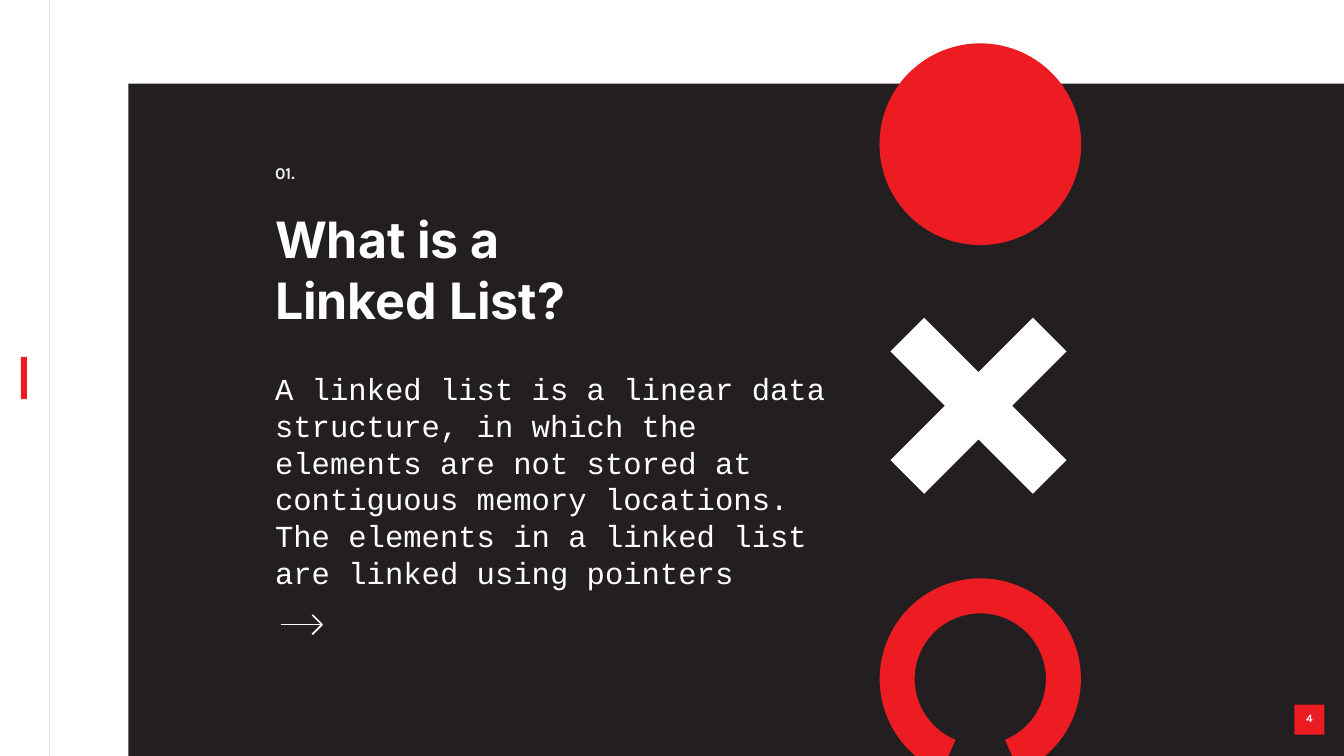
from math import cos, radians, sin

from lxml import etree
from pptx import Presentation
from pptx.dml.color import RGBColor
from pptx.enum.shapes import MSO_CONNECTOR, MSO_SHAPE
from pptx.enum.text import MSO_ANCHOR, PP_ALIGN
from pptx.oxml.ns import qn
from pptx.util import Inches, Pt

OVAL, RECT = MSO_SHAPE.OVAL, MSO_SHAPE.RECTANGLE
STRAIGHT = MSO_CONNECTOR.STRAIGHT
LEFT, TOP = PP_ALIGN.LEFT, MSO_ANCHOR.TOP

# Content
WIDE, HIGH = 21.99, 12.37
NUMBER = "01."
TITLE = "What is a Linked List?"
BODY = ("A linked list is a linear data structure, in which the elements "
        "are not stored at contiguous memory locations. The elements in a "
        "linked list are linked using pointers")
PAGE = "4"


class Theme:
    red, mark = "ED1C23", "EC1C23"
    dark, white = "231F20", "FFFFFF"
    pale, rule = "ECF1F4", "E0E6E9"
    head, body, small = "Inter", "Courier New", "Karla"
    title_size, body_size, label_size, page_size = 59, 36, 19.5, 13


deck = Presentation()
deck.slide_width, deck.slide_height = Inches(WIDE), Inches(HIGH)
slide = deck.slides.add_slide(deck.slide_layouts[6])
shapes = slide.shapes


def paint(shape, fill=None, line=None, width=1):
    shape.shadow.inherit = False
    if fill:
        shape.fill.solid()
        shape.fill.fore_color.rgb = RGBColor.from_string(fill)
    else:
        shape.fill.background()
    if line:
        shape.line.color.rgb = RGBColor.from_string(line)
        shape.line.width = Pt(width)
    else:
        shape.line.fill.background()


def block(kind, box, fill):
    paint(shapes.add_shape(kind, *map(Inches, box)), fill)


def outline(points, close=True, **style):
    first, *rest = [(Inches(x), Inches(y)) for x, y in points]
    pen = shapes.build_freeform(*first, scale=1.0)
    pen.add_line_segments(rest, close=close)
    paint(pen.convert_to_shape(), **style)


def stroke(x1, y1, x2, y2, color, width):
    link = shapes.add_connector(STRAIGHT, *map(Inches, (x1, y1, x2, y2)))
    link.line.color.rgb = RGBColor.from_string(color)
    link.line.width = Pt(width)
    etree.SubElement(link._element.spPr, qn("a:effectLst"))


def write(text, box, font, size, color=Theme.white, bold=False,
          inset=0.01, space=None):
    frame = shapes.add_textbox(*map(Inches, box)).text_frame
    frame.word_wrap = True
    frame.vertical_anchor = TOP
    frame.margin_left = frame.margin_right = frame.margin_bottom = 0
    frame.margin_top = Inches(inset)
    para = frame.paragraphs[0]
    para.alignment = LEFT
    if space:
        para.line_spacing = space
    run = para.add_run()
    run.text = text
    run.font.name, run.font.size, run.font.bold = font, Pt(size), bold
    run.font.color.rgb = RGBColor.from_string(color)


# Side rule, marker and dark panel
stroke(0.8, 0, 0.8, HIGH, Theme.rule, 0.82)
block(RECT, (0.34, 5.84, 0.1, 0.69), Theme.mark)
block(RECT, (2.1, 1.37, WIDE - 2.1, HIGH - 1.37), Theme.dark)

# Text column
EDGE = 4.5
write(TITLE, (EDGE, 3.39, 5.26, 2.01), Theme.head, Theme.title_size,
      bold=True, space=1.01)
write(BODY, (EDGE, 6.05, 9.58, 3.68), Theme.body, Theme.body_size)
write(NUMBER, (EDGE, 2.64, 0.5, 0.36), Theme.small, Theme.label_size,
      color=Theme.pale, bold=True, inset=0.02)

# Red disc
MID, DISC = 16.04, 1.65
block(OVAL, (MID - DISC, 0.71, 2 * DISC, 2 * DISC), Theme.red)

# Open ring, drawn clockwise from lower left to lower right
RING, RING_Y, GAP = 1.36, 11.11, 22.5
SWEEP, STEPS = 360 - 2 * GAP, 120
turns = [radians(90 + GAP + SWEEP * i / STEPS) for i in range(STEPS + 1)]
outline([(MID + RING * cos(t), RING_Y + RING * sin(t)) for t in turns],
        close=False, line=Theme.red, width=41.22)

# White cross: one arm turned four times
CROSS_X, CROSS_Y = 16.01, 6.64
cross = []
arm = [(-0.89, -1.44), (0, -0.55), (0.89, -1.44)]
for _ in range(4):
    cross += [(CROSS_X + x, CROSS_Y + y) for x, y in arm]
    arm = [(-y, x) for x, y in arm]
outline(cross, fill=Theme.white)

# Thin arrow
TIP, ARROW_Y, BARB = 5.27, 10.22, 0.16
stroke(4.6, ARROW_Y, TIP, ARROW_Y, Theme.white, 2)
outline([(TIP - BARB, ARROW_Y - BARB), (TIP, ARROW_Y),
         (TIP - BARB, ARROW_Y + BARB)],
        close=False, line=Theme.white, width=2)

# Page number
block(RECT, (21.18, 11.53, 0.49, 0.49), Theme.mark)
write(PAGE, (21.37, 11.63, 0.25, 0.27), Theme.small, Theme.page_size,
      bold=True)

deck.save("out.pptx")
